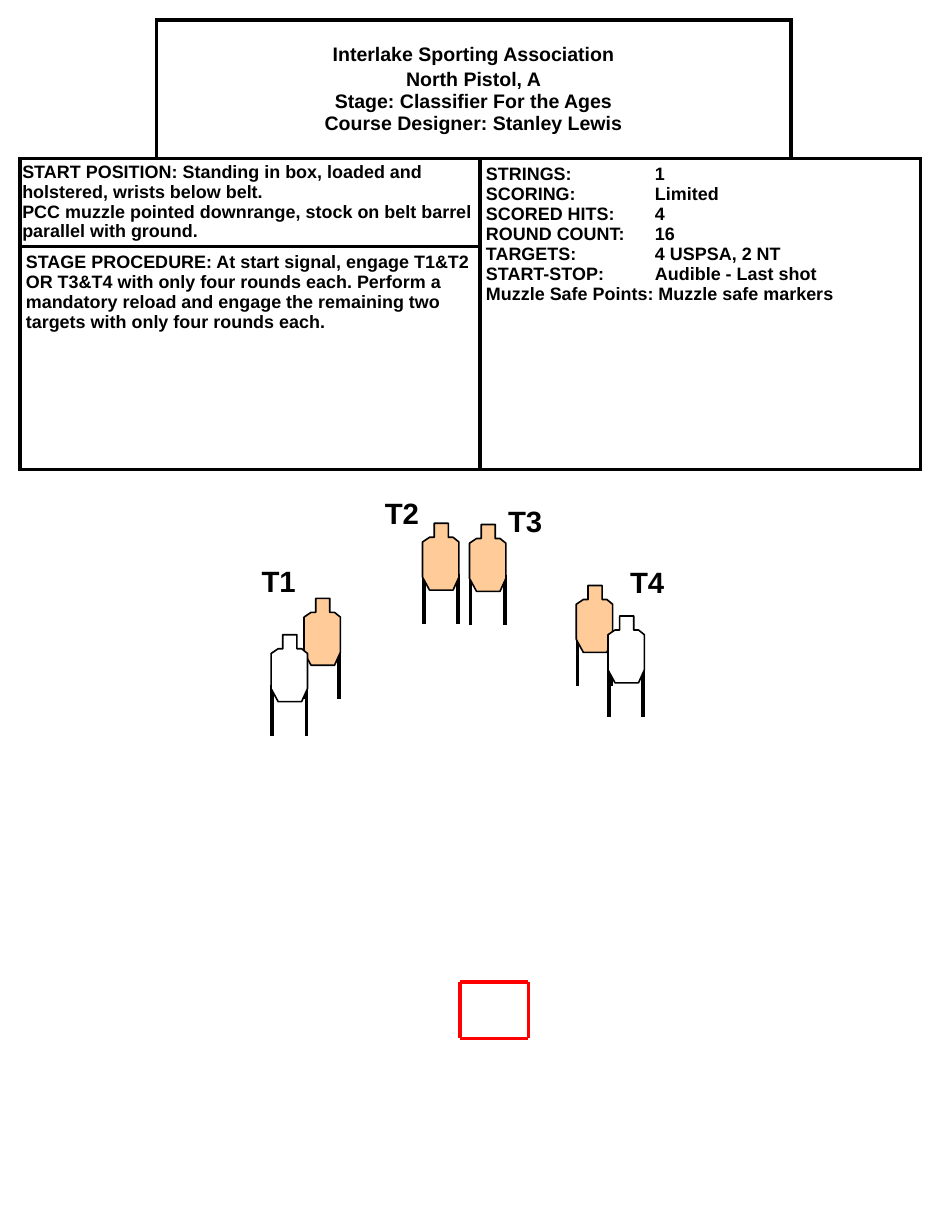
from lxml import etree
from pptx import Presentation
from pptx import util as u
from pptx.dml.color import RGBColor
from pptx.enum import shapes, text
from pptx.oxml import parse_xml
from pptx.oxml.ns import qn

NS = 'xmlns:a="http://schemas.openxmlformats.org/drawingml/2006/main"'
BLACK, WHITE, RED, TAN = "000000", "FFFFFF", "FF0000", "FFCC99"


def add_span(para, words, size, color=BLACK):
    span = para.add_run()
    span.text = words
    span.font.name = "Arial"
    span.font.size = u.Pt(size)
    span.font.bold = True
    span.font.color.rgb = RGBColor.from_string(color)


def add_line(parent, start, end, color, width):
    line = parent.shapes.add_connector(
        shapes.MSO_CONNECTOR.STRAIGHT, *[u.Inches(v) for v in (*start, *end)])
    line.line.color.rgb = RGBColor.from_string(color)
    line.line.width = u.Pt(width)
    etree.SubElement(line._element.spPr, qn("a:effectLst"))


deck = Presentation()
deck.slide_width, deck.slide_height = u.Inches(8), u.Inches(10.5)
page = deck.slides.add_slide(deck.slide_layouts[6])

# Stage description table
widths, heights = [1.16, 2.76, 2.65, 1.1], [1.18, 0.75, 1.9]
table = page.shapes.add_table(
    3, 4, u.Inches(0.17), u.Inches(0.17),
    u.Inches(sum(widths)), u.Inches(sum(heights))).table
table.first_row = table.horz_banding = False
for column, width in zip(table.columns, widths):
    column.width = u.Inches(width)
for row, height in zip(table.rows, heights):
    row.height = u.Inches(height)

open_sides = {(0, 0): "LT", (0, 3): "RT"}
for r in range(3):
    for c in range(4):
        cell = table.cell(r, c)
        properties = cell._tc.get_or_add_tcPr()
        for side in "LRTB":
            if side in open_sides.get((r, c), ""):
                paint = "<a:noFill/>"
            else:
                paint = f'<a:solidFill><a:srgbClr val="{BLACK}"/></a:solidFill>'
            properties.append(parse_xml(f'<a:ln{side} {NS} w="28575">{paint}</a:ln{side}>'))
        cell.fill.solid()
        cell.fill.fore_color.rgb = RGBColor.from_string(WHITE)

for first, last in [((0, 1), (0, 2)), ((1, 0), (1, 1)), ((2, 0), (2, 1)), ((1, 2), (2, 3))]:
    table.cell(*first).merge(table.cell(*last))

# Position, side inset, top inset, size, space before later paragraphs, paragraphs of lines
contents = [
    ((0, 1), 0.05, 0.05, 12, 2, [
        ["Interlake Sporting Association"],
        ["North Pistol, A", "Stage: Classifier For the Ages",
         "Course Designer: Stanley Lewis"]]),
    ((1, 0), 0.02, 0.03, 11, 0, [
        ["START POSITION: Standing in box, loaded and holstered, wrists below belt."],
        ["PCC muzzle pointed downrange, stock on belt barrel parallel with ground."]]),
    ((1, 2), 0.05, 0.05, 11, 0, [
        ["STRINGS:\t1"], ["SCORING:\tLimited"], ["SCORED HITS:\t4"],
        ["ROUND COUNT:\t16"], ["TARGETS:\t4 USPSA, 2 NT"],
        ["START-STOP:\tAudible - Last shot"],
        ["Muzzle Safe Points: Muzzle safe markers"]]),
    ((2, 0), 0.05, 0.05, 11, 0, [
        ["STAGE PROCEDURE: At start signal, engage T1&T2 OR T3&T4 with only four "
         "rounds each. Perform a mandatory reload and engage the remaining two "
         "targets with only four rounds each."]]),
]
for position, side_inset, top_inset, size, gap, paragraphs in contents:
    cell = table.cell(*position)
    cell.margin_left = cell.margin_right = u.Inches(side_inset)
    cell.margin_top = cell.margin_bottom = u.Inches(top_inset)
    heading = position == (0, 1)
    cell.vertical_anchor = text.MSO_ANCHOR.MIDDLE if heading else text.MSO_ANCHOR.TOP
    for i, lines in enumerate(paragraphs):
        para = cell.text_frame.add_paragraph() if i else cell.text_frame.paragraphs[0]
        para.alignment = text.PP_ALIGN.CENTER if heading else text.PP_ALIGN.LEFT
        if i and gap:
            para.space_before = u.Pt(gap)
        if "\t" in lines[0]:
            para._p.get_or_add_pPr().append(parse_xml(
                f'<a:tabLst {NS}><a:tab pos="{u.Inches(1.44)}" algn="l"/></a:tabLst>'))
        for j, words in enumerate(lines):
            if j:
                para.add_line_break()
            add_span(para, words, size)

# Start box
left, right, top, bottom = 3.92, 4.5, 8.37, 8.85
start_box = page.shapes.add_group_shape()
for y in (top, bottom):
    add_line(start_box, (left, y), (right, y), RED, 2)
for x in (left, right):
    add_line(start_box, (x, top), (x, bottom), RED, 2)

# Targets on two legs; white ones are no-shoots
outline = [(0.1, 0), (0.22, 0), (0.22, 0.12), (0.26, 0.12), (0.31, 0.16), (0.31, 0.46),
           (0.26, 0.57), (0.06, 0.57), (0, 0.46), (0, 0.16), (0.06, 0.12), (0.1, 0.12)]
targets = [(4.91, 4.99, TAN), (5.18, 5.25, WHITE), (3.6, 4.46, TAN),
           (4, 4.47, TAN), (2.59, 5.1, TAN), (2.31, 5.41, WHITE)]
for left, top, color in targets:
    target = page.shapes.add_group_shape()
    for x in (left + 0.01, left + 0.3):
        add_line(target, (x, top + 0.43), (x, top + 0.86), BLACK, 2.25)
    points = [(u.Inches(left + x), u.Inches(top + y)) for x, y in outline]
    builder = target.shapes.build_freeform(*points[0])
    builder.add_line_segments(points[1:], close=True)
    body = builder.convert_to_shape()
    body.shadow.inherit = False
    body.fill.solid()
    body.fill.fore_color.rgb = RGBColor.from_string(color)
    body.line.color.rgb = RGBColor.from_string(BLACK)
    body.line.width = u.Pt(1)

for label, left, top in [("T1", 2.13, 4.75), ("T2", 3.18, 4.17),
                         ("T3", 4.23, 4.24), ("T4", 5.27, 4.76)]:
    box = page.shapes.add_textbox(
        u.Inches(left), u.Inches(top), u.Inches(0.58), u.Inches(0.4))
    box.text_frame.word_wrap = True
    add_span(box.text_frame.paragraphs[0], label, 18)

deck.save("out.pptx")
